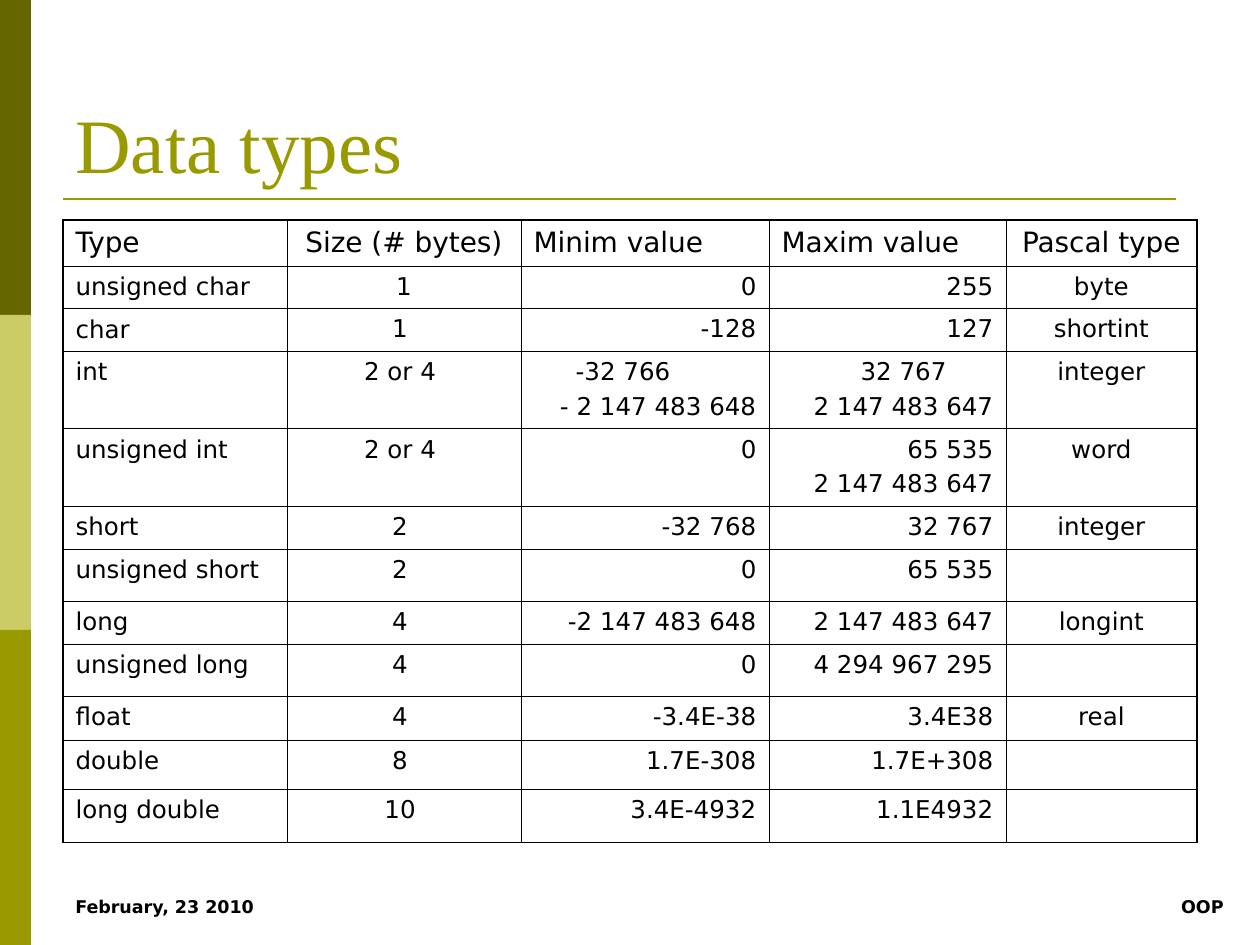
"""Build the slide that lists the C data types in a table."""
from lxml.etree import SubElement
from pptx import Presentation
from pptx.dml.color import RGBColor
from pptx.enum.shapes import MSO_CONNECTOR, MSO_SHAPE
from pptx.enum.text import MSO_ANCHOR, PP_ALIGN
from pptx.oxml import parse_xml
from pptx.oxml.ns import nsdecls, qn
from pptx.util import Pt

PX = 914400 // 126
BLACK = RGBColor(0x00, 0x00, 0x00)
DARK_OLIVE = RGBColor(0x66, 0x66, 0x00)
PALE_OLIVE = RGBColor(0xCC, 0xCC, 0x66)
OLIVE = RGBColor(0x99, 0x99, 0x00)
SANS = "DejaVu Sans"
SERIF = "Times New Roman"
LEFT, CENTER, RIGHT = PP_ALIGN.LEFT, PP_ALIGN.CENTER, PP_ALIGN.RIGHT
THIN, THICK = 0.45, 1.08

COLUMN_WIDTHS = [224, 234, 248, 237, 191]
ROW_HEIGHTS = [46, 42, 43, 77, 78, 43, 52, 43, 52, 44, 49, 53]
HEADER_ALIGNS = [LEFT, CENTER, LEFT, LEFT, CENTER]
BODY_ALIGNS = [LEFT, CENTER, RIGHT, RIGHT, CENTER]
SHORT_INT_INDENTS = {(3, 2): 42, (3, 3): 79}
ROWS = [
    ["Type", "Size (# bytes)", "Minim value", "Maxim value", "Pascal type"],
    ["unsigned char", "1", "0", "255", "byte"],
    ["char", "1 ", "-128", "127", "shortint"],
    ["int", "2 or 4 ", "-32 766\n- 2 147 483 648", "32 767\n2 147 483 647", "integer"],
    ["unsigned int", "2 or 4 ", "0", "65 535\n2 147 483 647", "word"],
    ["short", "2 ", "-32 768", "32 767", "integer"],
    ["unsigned short", "2 ", "0", "65 535", ""],
    ["long", "4 ", "-2 147 483 648", "2 147 483 647", "longint"],
    ["unsigned long", "4 ", "0", "4 294 967 295", ""],
    ["float", "4 ", "-3.4E-38", "3.4E38", "real"],
    ["double", "8 ", "1.7E-308", "1.7E+308", ""],
    ["long double", "10 ", "3.4E-4932", "1.1E4932", ""],
]


def px(*lengths):
    return [length * PX for length in lengths]


def style_paragraph(p, size, align=LEFT, name=SANS, color=BLACK, bold=False):
    p.alignment = align
    p.font.size = Pt(size)
    p.font.name = name
    p.font.color.rgb = color
    p.font.bold = bold


def add_bar(slide, top, color):
    sp = slide.shapes.add_shape(MSO_SHAPE.RECTANGLE, *px(0, top, 31, 315))
    sp.shadow.inherit = False
    sp.fill.solid()
    sp.fill.fore_color.rgb = color
    sp.line.fill.background()


def add_rule(slide, x1, x2, y):
    line = slide.shapes.add_connector(MSO_CONNECTOR.STRAIGHT, *px(x1, y, x2, y))
    line.line.color.rgb = OLIVE
    line.line.width = Pt(1.5)
    SubElement(line._element.spPr, qn("a:effectLst"))


def add_text(slide, box, text, anchor=MSO_ANCHOR.TOP, **style):
    tf = slide.shapes.add_textbox(*px(*box)).text_frame
    tf.word_wrap = True
    tf.vertical_anchor = anchor
    tf.text = text
    style_paragraph(tf.paragraphs[0], **style)


def set_borders(cell, left, right, top, bottom):
    tcPr = cell._tc.get_or_add_tcPr()
    for i, (side, width) in enumerate(zip("LRTB", (left, right, top, bottom))):
        tcPr.insert(i, parse_xml(
            f'<a:ln{side} {nsdecls("a")} w="{Pt(width)}"><a:solidFill>'
            f'<a:srgbClr val="{BLACK}"/></a:solidFill></a:ln{side}>'))


def fill_cell(cell, text, size, align, indent=None):
    cell.fill.background()
    cell.text_frame.text = text
    for p in cell.text_frame.paragraphs:
        style_paragraph(p, size, align)
        p.space_before = Pt(size / 4)
    if indent:
        p = cell.text_frame.paragraphs[0]
        p.alignment = LEFT
        p._p.get_or_add_pPr().set("marL", str(indent * PX))


def add_type_table(slide, left, top):
    last_row, last_col = len(ROWS) - 1, len(COLUMN_WIDTHS) - 1
    size = px(sum(COLUMN_WIDTHS), sum(ROW_HEIGHTS))
    table = slide.shapes.add_table(
        len(ROWS), len(COLUMN_WIDTHS), *px(left, top), *size).table
    table.first_row = table.horz_banding = False
    for column, width in zip(table.columns, px(*COLUMN_WIDTHS)):
        column.width = width
    for row, height in zip(table.rows, px(*ROW_HEIGHTS)):
        row.height = height
    for r, texts in enumerate(ROWS):
        aligns = BODY_ALIGNS if r else HEADER_ALIGNS
        for c, text in enumerate(texts):
            cell = table.cell(r, c)
            fill_cell(cell, text, 14 if r else 16, aligns[c],
                      SHORT_INT_INDENTS.get((r, c)))
            if c == 0 and r < 3:
                cell.vertical_anchor = MSO_ANCHOR.MIDDLE
            edges = (c == 0, c == last_col, r == 0, r == last_row)
            set_borders(cell, *(THICK if edge else THIN for edge in edges))


def main():
    prs = Presentation()
    prs.slide_width, prs.slide_height = px(1260, 945)
    slide = prs.slides.add_slide(prs.slide_layouts[6])
    for i, color in enumerate((DARK_OLIVE, PALE_OLIVE, OLIVE)):
        add_bar(slide, i * 315, color)
    add_rule(slide, 63, 1176, 199)
    add_text(slide, (63, 890, 294, 35), "February, 23 2010", size=10, bold=True)
    add_text(slide, (431, 890, 805, 35), "OOP", size=10, bold=True, align=RIGHT)
    add_text(slide, (63, 38, 1134, 157), "Data types", MSO_ANCHOR.BOTTOM,
             size=44, name=SERIF, color=OLIVE)
    add_type_table(slide, 63, 220)
    prs.save("out.pptx")


if __name__ == "__main__":
    main()
